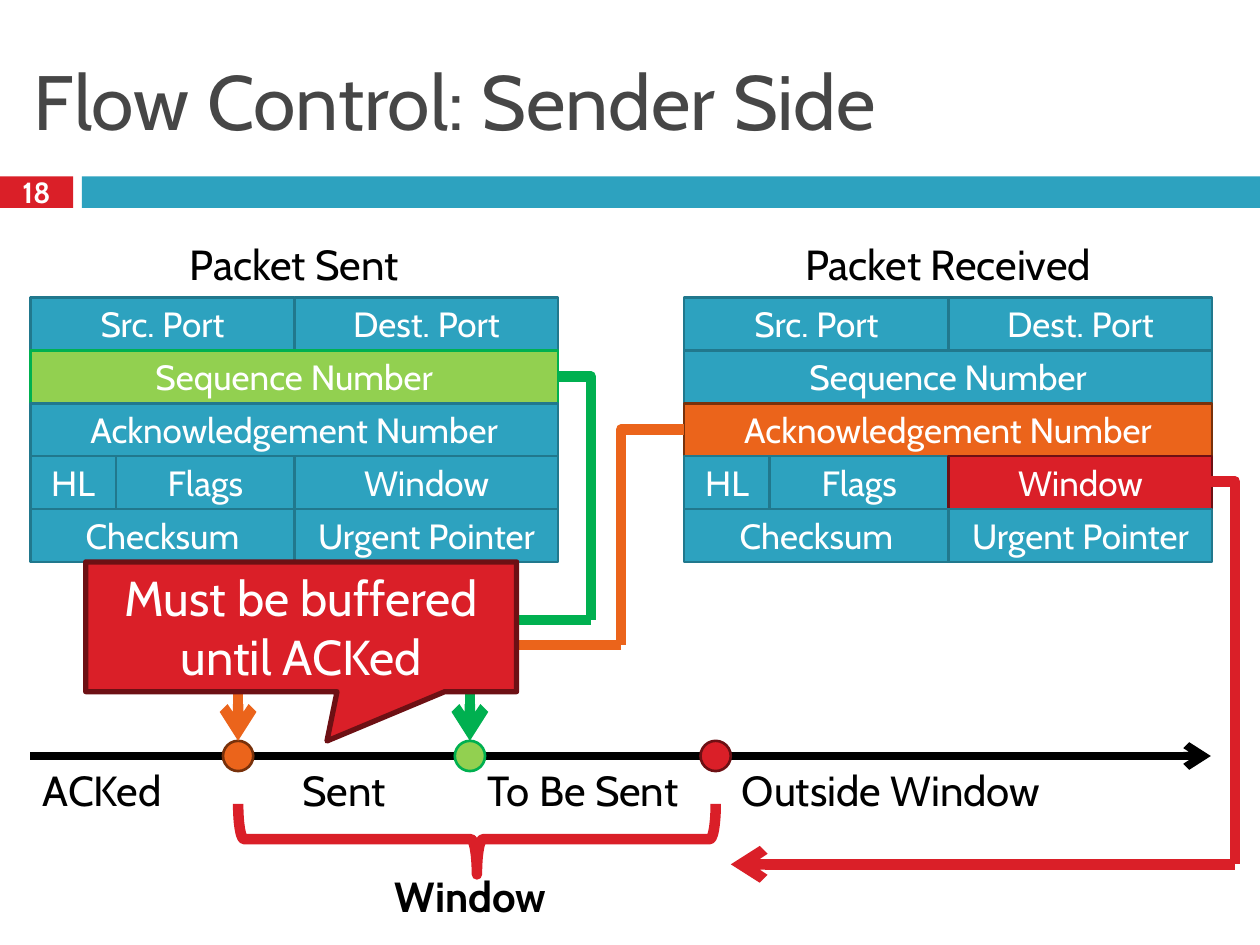
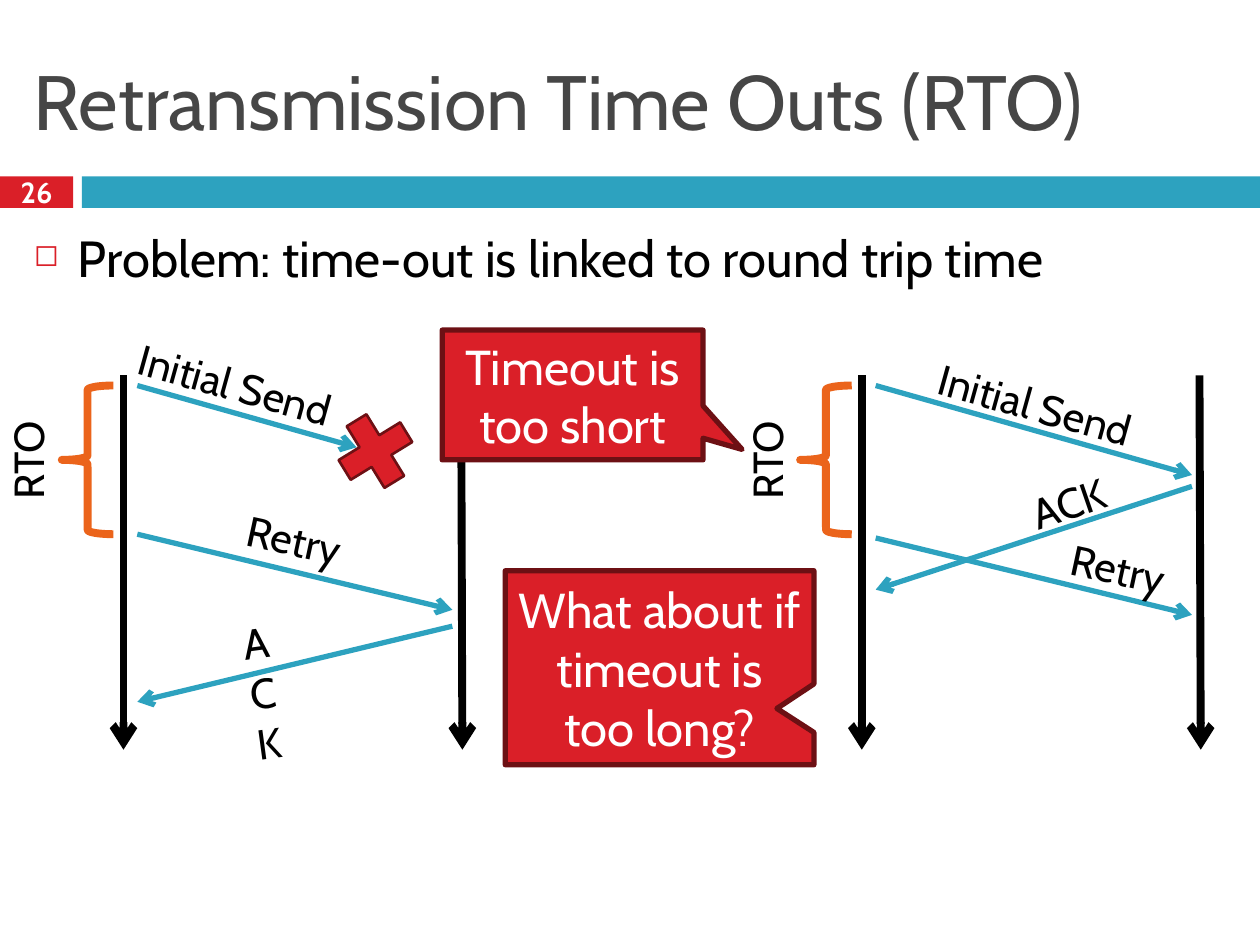
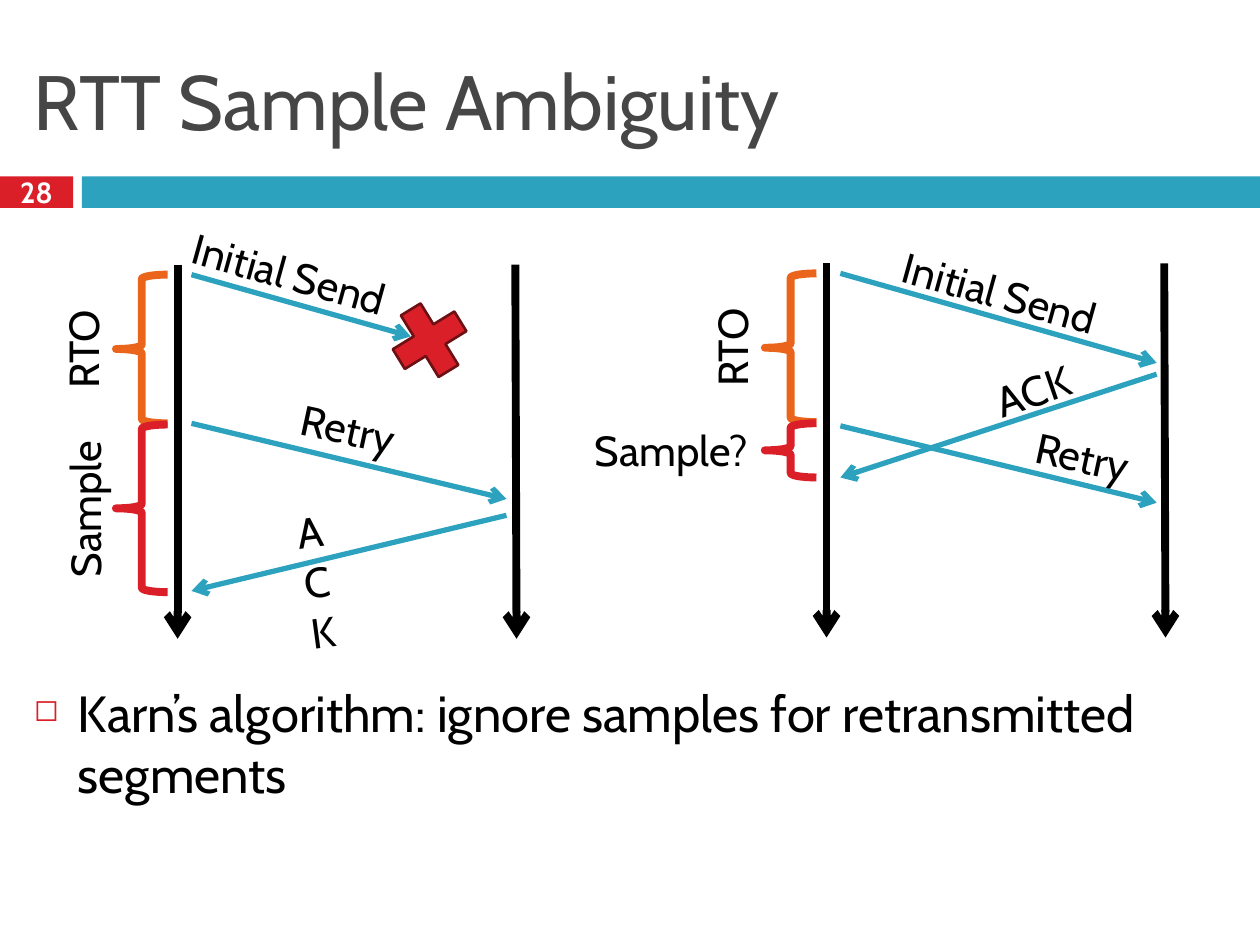
import pptx
import pptx.util
import pptx.dml.color
import pptx.enum.shapes
import pptx.enum.text
import pptx.oxml
import pptx.oxml.ns

SHAPE = pptx.enum.shapes.MSO_SHAPE
CONNECTOR = pptx.enum.shapes.MSO_CONNECTOR
ALIGN = pptx.enum.text.PP_ALIGN
ANCHOR = pptx.enum.text.MSO_ANCHOR
Inches, Pt = pptx.util.Inches, pptx.util.Pt

FONT = "Cabin"
COLORS = {
    "teal": "2DA2BF", "dark teal": "21788D", "red": "DA1F28", "dark red": "6D1014",
    "orange": "EB641B", "dark orange": "78310B", "lime": "92D050", "green": "00B050",
    "title": "464646", "black": "000000", "white": "FFFFFF",
}
EDGES = {"teal": "dark teal", "red": "dark red", "orange": "dark orange", "lime": "green"}

# Packet header: column edges, then rows of (field, first edge, last edge)
EDGE_X = [0, 0.68, 2.1, 4.19]
ROW_H = 0.42
PACKET_TOP = 2.36
HEADER = [
    [("Src. Port", 0, 2), ("Dest. Port", 2, 3)],
    [("Sequence Number", 0, 3)],
    [("Acknowledgement Number", 0, 3)],
    [("HL", 0, 1), ("Flags", 1, 2), ("Window", 2, 3)],
    [("Checksum", 0, 2), ("Urgent Pointer", 2, 3)],
]
PACKETS = [
    ("Packet Sent", 0.24, {"Sequence Number": "lime"}),
    ("Packet Received", 5.43, {"Acknowledgement Number": "orange", "Window": "red"}),
]

TIMELINE_Y = 6
DOT = 0.24
MARKS = {"orange": 1.89, "lime": 3.73, "red": 5.68}
RANGES = [("ACKed", 0.24, 1.27), ("Sent", 2.3, 0.89),
          ("To Be Sent", 3.77, 1.85), ("Outside Window", 5.79, 2.65)]
# Elbows run sideways first, then down: colour, start, end, arrow at the end
ELBOWS = [
    ("orange", (5.43, 3.41), (4.93, 5.12), False),
    ("orange", (4.93, 5.12), (MARKS["orange"], 5.88), True),
    ("green", (4.43, 2.99), (4.69, 4.92), False),
    ("green", (4.69, 4.92), (MARKS["lime"], 5.88), True),
    ("red", (9.61, 3.82), (9.8, 6.86), False),
]

# Exchanges, measured from the top of the sender's line.
# Messages: text, start, end, label (left, top, width), turn
LOST = {
    "messages": [
        ("Initial Send", (0.11, 0.08), (1.85, 0.57), (-0.21, -0.18, 2.19), 15.6),
        ("ACK", (2.61, 1.99), (0.11, 2.59), (0.8, 1.87, 0.5), -7.8),
        ("Retry", (0.11, 1.26), (2.61, 1.86), (0.8, 1.05, 1.11), 12.3),
    ],
    "cross": (1.61, 0.21),
}
LATE = {
    "messages": [
        ("Initial Send", (0.11, 0.08), (2.62, 0.79), (0.28, -0.02, 2.19), 15.6),
        ("ACK", (2.62, 0.88), (0.11, 1.7), (1.06, 0.76, 1.16), -19),
        ("Retry", (0.11, 1.29), (2.62, 1.9), (1.48, 1.28, 1.11), 12.3),
    ],
}
# Spans: text, colour, top, height, label (left, top, width), turn
RTO = ("RTO", "orange", 0.08, 1.18, (-1.29, 0.42, 1.07), -90)
SAMPLE = ("Sample", "red", 1.27, 1.33, (-1.47, 1.69, 1.46), -90)
SAMPLE_DOUBT = ("Sample?", "red", 1.27, 0.43, (-2.02, 1.23, 1.58), 0)
LINE_H, RECEIVER_X = 2.97, 2.68


def rgb(name):
    return pptx.dml.color.RGBColor.from_string(COLORS[name])


def write(sp, text, size, color, align=ALIGN.CENTER, anchor=ANCHOR.MIDDLE, bold=False):
    tf = sp.text_frame
    tf.word_wrap = True
    tf.vertical_anchor = anchor
    tf.text = text
    p = tf.paragraphs[0]
    p.alignment = align
    font = p.runs[0].font
    font.name, font.size, font.bold = FONT, Pt(size), bold
    font.color.rgb = rgb(color)
    return p


def add_text(s, text, box, size=24, color="black", turn=0, **style):
    sp = s.shapes.add_textbox(*map(Inches, box))
    sp.rotation = turn
    return write(sp, text, size, color, **style)


def add_label(s, text, left, top, width, turn=0, **style):
    add_text(s, text, (left, top, width, 0.5), turn=turn, anchor=ANCHOR.TOP, **style)


def add_shape(s, kind, box, fill=None, line=None, width=1.5, turn=0):
    sp = s.shapes.add_shape(kind, *map(Inches, box))
    sp.shadow.inherit = False
    sp.rotation = turn
    if fill:
        sp.fill.solid()
        sp.fill.fore_color.rgb = rgb(fill)
    else:
        sp.fill.background()
    if line:
        sp.line.color.rgb = rgb(line)
        sp.line.width = Pt(width)
    else:
        sp.line.fill.background()
    return sp


def add_line(s, start, end, color, width, arrow=True, elbow=False):
    kind = CONNECTOR.ELBOW if elbow else CONNECTOR.STRAIGHT
    c = s.shapes.add_connector(kind, *map(Inches, (*start, *end)))
    c.line.color.rgb = rgb(color)
    c.line.width = Pt(width)
    props = c._element.spPr
    if elbow:
        props.find(pptx.oxml.ns.qn("a:prstGeom")).set("prst", "bentConnector2")
    if arrow:
        tail = pptx.oxml.parse_xml(f'<a:tailEnd {pptx.oxml.ns.nsdecls("a")} type="arrow"/>')
        c.line._get_or_add_ln().append(tail)
    props.append(pptx.oxml.parse_xml(f'<a:effectLst {pptx.oxml.ns.nsdecls("a")}/>'))


def add_callout(s, text, box, tip):
    """Draw a speech box; tip is measured from its centre in shares of its size."""
    sp = add_shape(s, SHAPE.RECTANGULAR_CALLOUT, box, "red", "dark red", 3)
    sp.adjustments[0], sp.adjustments[1] = tip
    write(sp, text, 28, "white")


def add_bullet(s, text, top, height):
    p = add_text(s, text, (0.17, top, 9.67, height), 29,
                 align=ALIGN.LEFT, anchor=ANCHOR.TOP)
    p.space_before = Pt(7)
    props = p._p.get_or_add_pPr()
    props.set("marL", str(Inches(0.35)))
    props.set("indent", str(-Inches(0.35)))
    ns = pptx.oxml.ns.nsdecls("a")
    for xml in (f'<a:buClr {ns}><a:srgbClr val="{COLORS["red"]}"/></a:buClr>',
                f'<a:buSzPct {ns} val="60000"/>',
                f'<a:buChar {ns} char="◻"/>'):
        props.append(pptx.oxml.parse_xml(xml))


def new_slide(prs, title, number):
    s = prs.slides.add_slide(prs.slide_layouts[6])
    tag = add_shape(s, SHAPE.RECTANGLE, (0, 1.4, 0.58, 0.25), "red")
    write(tag, number, 16.6, "white", bold=True)
    add_shape(s, SHAPE.RECTANGLE, (0.65, 1.4, 9.35, 0.25), "teal")
    add_text(s, title, (0.17, 0.25, 9.67, 1.08), 44, "title", align=ALIGN.LEFT)
    return s


def add_packet(s, name, left, highlights):
    add_label(s, name, left, 1.84, EDGE_X[-1])
    for row, fields in enumerate(HEADER):
        for field, first, last in fields:
            fill = highlights.get(field, "teal")
            box = (left + EDGE_X[first], PACKET_TOP + row * ROW_H,
                   EDGE_X[last] - EDGE_X[first], ROW_H)
            sp = add_shape(s, SHAPE.RECTANGLE, box, fill, EDGES[fill])
            write(sp, field, 20, "white")


def add_exchange(s, x, y, exchange, spans):
    for dx, lean in ((0, 0), (RECEIVER_X, 0.01)):
        add_line(s, (x + dx, y), (x + dx + lean, y + LINE_H), "black", 4.5)
    for text, (x1, y1), (x2, y2), (left, top, width), turn in exchange["messages"]:
        add_line(s, (x + x1, y + y1), (x + x2, y + y2), "teal", 3)
        add_label(s, text, x + left, y + top, width, turn)
    for text, color, top, height, (left, label_top, width), turn in spans:
        add_shape(s, SHAPE.LEFT_BRACE, (x - 0.49, y + top, 0.41, height),
                  line=color, width=4.5)
        add_label(s, text, x + left, y + label_top, width, turn)
    if "cross" in exchange:
        dx, dy = exchange["cross"]
        add_shape(s, SHAPE.MATH_MULTIPLY, (x + dx, y + dy, 0.78, 0.78),
                  "red", "dark red", turn=13.5)


def flow_control(prs):
    s = new_slide(prs, "Flow Control: Sender Side", "18")
    for packet in PACKETS:
        add_packet(s, *packet)
    add_line(s, (0.24, TIMELINE_Y), (9.61, TIMELINE_Y), "black", 4.5)
    for text, left, width in RANGES:
        add_label(s, text, left, 6.02, width, align=ALIGN.LEFT)
    for color, x in MARKS.items():
        add_shape(s, SHAPE.OVAL, (x - DOT / 2, TIMELINE_Y - DOT / 2, DOT, DOT),
                  color, EDGES[color])
    for color, start, end, arrow in ELBOWS:
        add_line(s, start, end, color, 6, arrow, elbow=True)
    add_line(s, (9.8, 6.86), (5.8, 6.86), "red", 6)
    span, depth = MARKS["red"] - MARKS["orange"], 0.56
    middle = MARKS["orange"] + span / 2
    add_shape(s, SHAPE.LEFT_BRACE, (middle - depth / 2, 6.66 - span / 2, depth, span),
              line="red", width=6, turn=270)
    add_label(s, "Window", 2.99, 6.86, 1.49, bold=True)
    add_callout(s, "Must be buffered until ACKed", (0.68, 4.46, 3.42, 1.03), (0.06, 0.88))


def time_outs(prs):
    s = new_slide(prs, "Retransmission Time Outs (RTO)", "26")
    add_bullet(s, "Problem: time-out is linked to round trip time", 1.75, 1.82)
    add_exchange(s, 0.98, 2.98, LOST, [RTO])
    add_exchange(s, 6.84, 2.98, LATE, [RTO])
    add_callout(s, "Timeout is too short", (3.51, 2.62, 2.07, 1.03), (0.65, 0.42))
    add_callout(s, "What about if timeout is too long?", (4.01, 4.53, 2.45, 1.54),
                (0.38, 0.21))


def sample_ambiguity(prs):
    s = new_slide(prs, "RTT Sample Ambiguity", "28")
    add_bullet(s, "Karn’s algorithm: ignore samples for retransmitted segments", 5.36, 1.97)
    add_exchange(s, 1.41, 2.1, LOST, [RTO, SAMPLE])
    add_exchange(s, 6.56, 2.09, LATE, [RTO, SAMPLE_DOUBT])


def main():
    prs = pptx.Presentation()
    prs.slide_width, prs.slide_height = Inches(10), Inches(7.5)
    flow_control(prs)
    time_outs(prs)
    sample_ambiguity(prs)
    prs.save("out.pptx")


if __name__ == "__main__":
    main()
